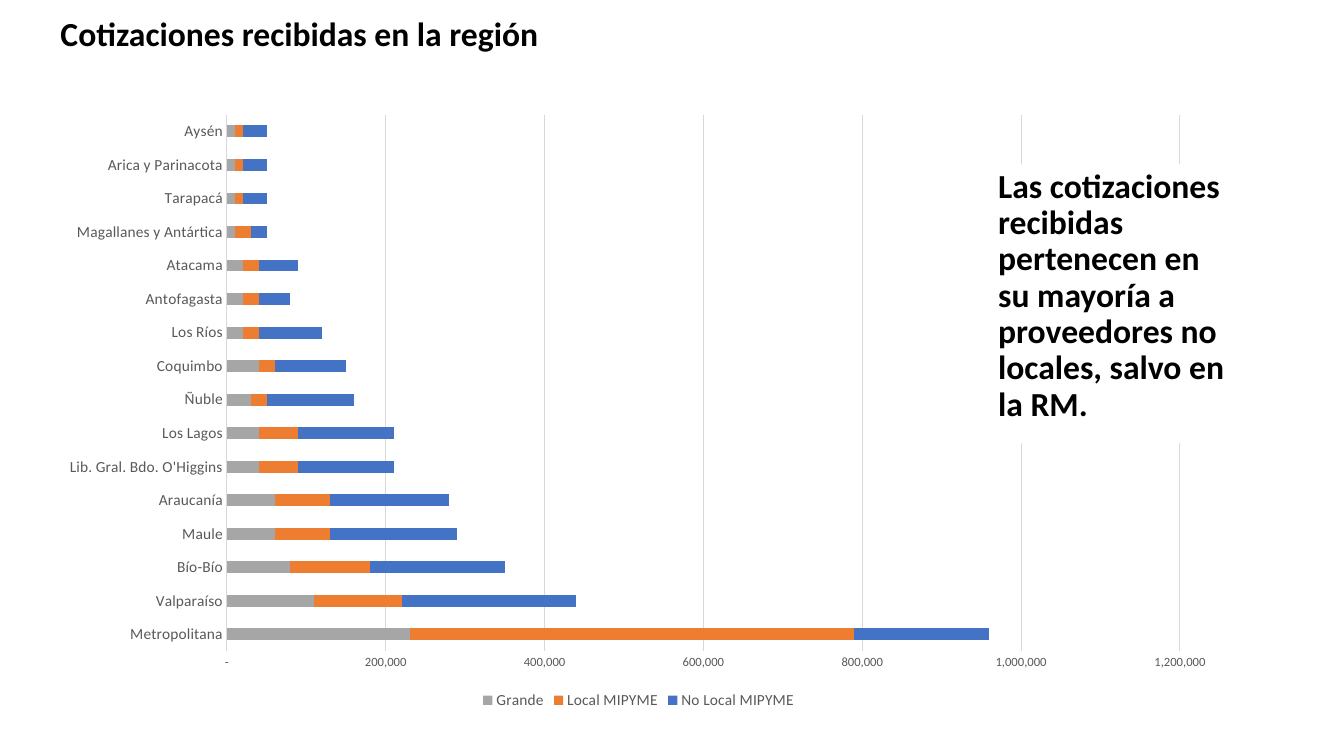
from lxml import etree
from pptx import Presentation
from pptx.chart.data import CategoryChartData
from pptx.dml.color import RGBColor
from pptx.enum.chart import XL_CHART_TYPE, XL_LEGEND_POSITION, XL_TICK_MARK
from pptx.enum.text import MSO_ANCHOR, MSO_AUTO_SIZE, PP_ALIGN
from pptx.oxml import parse_xml
from pptx.oxml.ns import nsdecls, qn
from pptx.util import Inches, Pt

STACKED = XL_CHART_TYPE.BAR_STACKED
BOTTOM = XL_LEGEND_POSITION.BOTTOM
NO_TICK = XL_TICK_MARK.NONE
TOP, MIDDLE = MSO_ANCHOR.TOP, MSO_ANCHOR.MIDDLE
NO_FIT = MSO_AUTO_SIZE.NONE
LEFT = PP_ALIGN.LEFT

FONT = "Calibri"
BLACK, WHITE, GREY, PALE = "000000", "FFFFFF", "595959", "D9D9D9"
FORMAT = '_(* #,##0_);_(* \\(#,##0\\);_(* "-"_);_(@_)'

# Quotes by region, in thousands: large, local small, non-local small
REGIONS = [
    ("Metropolitana", 230, 560, 170),
    ("Valparaíso", 110, 110, 220),
    ("Bío-Bío", 80, 100, 170),
    ("Maule", 60, 70, 160),
    ("Araucanía", 60, 70, 150),
    ("Lib. Gral. Bdo. O'Higgins", 40, 50, 120),
    ("Los Lagos", 40, 50, 120),
    ("Ñuble", 30, 20, 110),
    ("Coquimbo", 40, 20, 90),
    ("Los Ríos", 20, 20, 80),
    ("Antofagasta", 20, 20, 40),
    ("Atacama", 20, 20, 50),
    ("Magallanes y Antártica", 10, 20, 20),
    ("Tarapacá", 10, 10, 30),
    ("Arica y Parinacota", 10, 10, 30),
    ("Aysén", 10, 10, 30),
]
SERIES = [("Grande", "A6A6A6"), ("Local MIPYME", "ED7D31"), ("No Local MIPYME", "4472C4")]


def color(code):
    return RGBColor.from_string(code)


def style(font, size, code, bold=False):
    font.name, font.size, font.bold = FONT, Pt(size), bold
    font.color.rgb = color(code)


def rule(line):
    line.color.rgb = color(PALE)
    line.width = Pt(0.75)


def fill_text(holder, box, text, anchor, before=0):
    holder.left, holder.top, holder.width, holder.height = map(Inches, box)
    frame = holder.text_frame
    frame.word_wrap, frame.auto_size = True, NO_FIT
    frame.vertical_anchor = anchor
    para = frame.paragraphs[0]
    para.alignment, para.line_spacing, para.space_before = LEFT, 0.9, Pt(before)
    run = para.add_run()
    run.text = text
    style(run.font, 24, BLACK, True)
    return para


def drop_bullet(para):
    props = para._p.get_or_add_pPr()
    props.set("marL", "0")
    props.set("indent", "0")
    etree.SubElement(props, qn("a:buNone"))


def place_plot(chart, x, y, width, height):
    area = chart._chartSpace.chart.plotArea
    for old in area.findall(qn("c:layout")):
        area.remove(old)
    sizes = "".join(f'<c:{tag} val="{val}"/>' for tag, val in
                    (("x", x), ("y", y), ("w", width), ("h", height)))
    area.insert(0, parse_xml(
        f'<c:layout {nsdecls("c")}><c:manualLayout><c:layoutTarget val="inner"/>'
        f'<c:xMode val="edge"/><c:yMode val="edge"/>{sizes}</c:manualLayout></c:layout>'))


def add_bars(slide):
    data = CategoryChartData(number_format=FORMAT)
    data.categories = [row[0] for row in REGIONS]
    for col, (name, _) in enumerate(SERIES, 1):
        data.add_series(name, [row[col] * 1000 for row in REGIONS])
    frame = slide.shapes.add_chart(
        STACKED, Inches(0.5), Inches(0.89), Inches(11.67), Inches(6.19), data)
    chart = frame.chart
    style(chart.font, 10, BLACK)
    chart.has_title = False

    # Bars
    plot = chart.plots[0]
    plot.gap_width, plot.overlap, plot.vary_by_categories = 182, 100, False
    for bars, (_, code) in zip(plot.series, SERIES):
        bars.format.fill.solid()
        bars.format.fill.fore_color.rgb = color(code)
    place_plot(chart, 0.15, 0.04, 0.81, 0.86)

    # Axes
    for axis, size in ((chart.category_axis, 11), (chart.value_axis, 9)):
        axis.major_tick_mark = axis.minor_tick_mark = NO_TICK
        style(axis.tick_labels.font, size, GREY)
    rule(chart.category_axis.format.line)
    scale = chart.value_axis
    scale.minimum_scale, scale.maximum_scale, scale.major_unit = 0, 1200000, 200000
    scale.format.line.fill.background()
    rule(scale.major_gridlines.format.line)
    scale.tick_labels.number_format = FORMAT
    scale.tick_labels.number_format_is_linked = False

    # Legend
    chart.has_legend = True
    chart.legend.position = BOTTOM
    chart.legend.include_in_layout = False
    style(chart.legend.font, 11, GREY)
    return frame


def main():
    deck = Presentation()
    deck.slide_width, deck.slide_height = Inches(13.33), Inches(7.5)
    slide = deck.slides.add_slide(deck.slide_layouts[1])

    # Title
    fill_text(slide.shapes.title, (0.5, 0, 6.71, 0.7),
              "Cotizaciones recibidas en la región", MIDDLE)

    # Message, in front of the chart
    note = slide.placeholders[1]
    para = fill_text(note, (9.8, 1.63, 2.49, 2.77),
                     "Las cotizaciones recibidas pertenecen en su mayoría a "
                     "proveedores no locales, salvo en la RM.", TOP, 10)
    drop_bullet(para)
    note.fill.solid()
    note.fill.fore_color.rgb = color(WHITE)
    note._element.addprevious(add_bars(slide)._element)

    deck.save("out.pptx")


if __name__ == "__main__":
    main()
